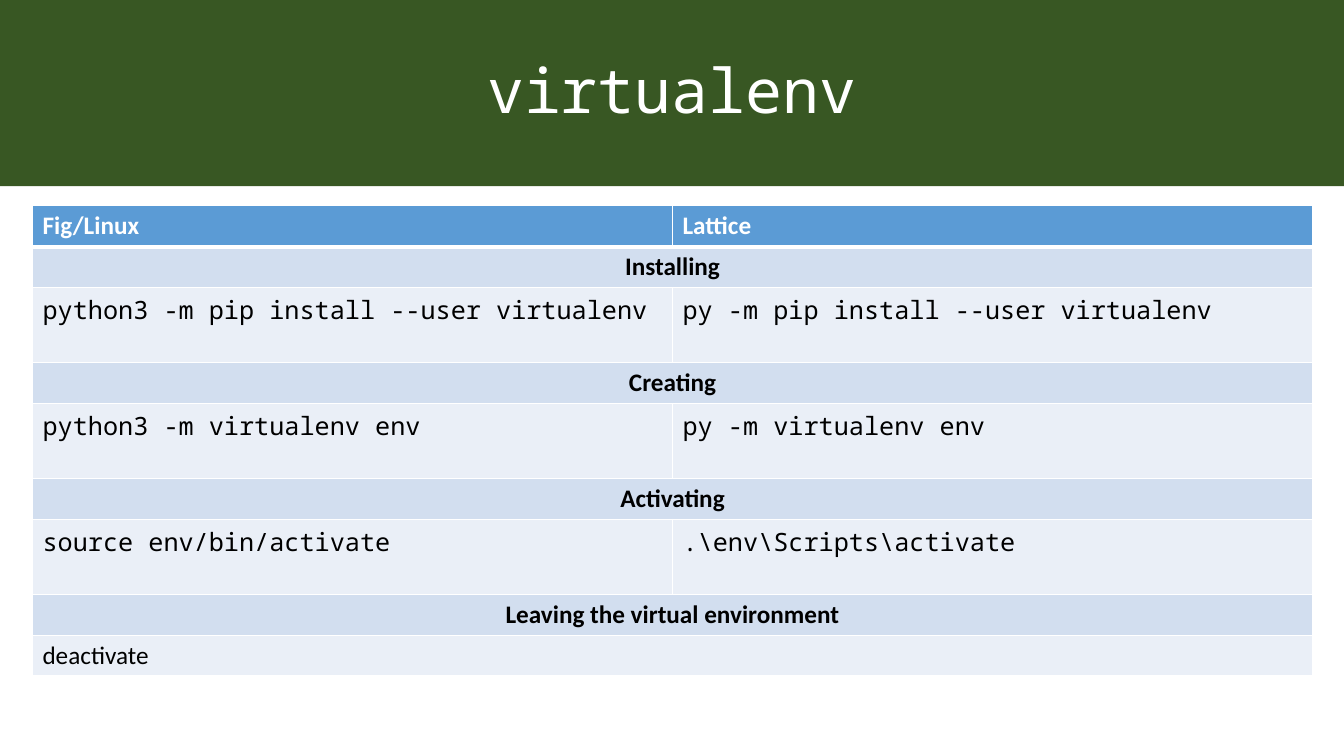
from dataclasses import dataclass

from lxml import etree
from pptx import Presentation
from pptx.dml.color import RGBColor
from pptx.enum.shapes import MSO_SHAPE
from pptx.enum.text import MSO_ANCHOR, PP_ALIGN
from pptx.oxml.ns import qn
from pptx.util import Pt

RECT = MSO_SHAPE.RECTANGLE
MIDDLE = MSO_ANCHOR.MIDDLE
LEFT, CENTER = PP_ALIGN.LEFT, PP_ALIGN.CENTER


@dataclass(frozen=True)
class Theme:
    green: str = "385723"
    blue: str = "5B9BD5"
    band: str = "D2DEEF"
    pale: str = "EAEFF7"
    white: str = "FFFFFF"
    black: str = "000000"
    sans: str = "Calibri"
    mono: str = "Noto Sans Mono"
    title: int = 44
    body: int = 18


THEME = Theme()
WIDE, HIGH = 960, 540
LOW, TALL = 29.2, 53.6

HEAD = dict(fill=THEME.blue, ink=THEME.white, name=THEME.sans, bold=True, align=LEFT)
STEP = dict(fill=THEME.band, ink=THEME.black, name=THEME.sans, bold=True, align=CENTER)
CODE = dict(fill=THEME.pale, ink=THEME.black, name=THEME.mono, bold=False, align=LEFT)
LAST = dict(CODE, name=THEME.sans)

# Each row: look, height, texts; a single text spans both columns
ROWS = [
    (HEAD, LOW, ["Fig/Linux", "Lattice"]),
    (STEP, LOW, ["Installing"]),
    (CODE, TALL, ["python3 -m pip install --user virtualenv",
                  "py -m pip install --user virtualenv"]),
    (STEP, LOW, ["Creating"]),
    (CODE, TALL, ["python3 -m virtualenv env", "py -m virtualenv env"]),
    (STEP, LOW, ["Activating"]),
    (CODE, TALL, ["source env/bin/activate", r".\env\Scripts\activate"]),
    (STEP, LOW, ["Leaving the virtual environment"]),
    (LAST, LOW, ["deactivate"]),
]


def paint(item, color):
    item.fill.solid()
    item.fill.fore_color.rgb = RGBColor.from_string(color)


def write(frame, text, align, ink, **font):
    """Put text in the first paragraph and return that paragraph."""
    para = frame.paragraphs[0]
    para.alignment = align
    run = para.add_run()
    run.text = text
    for key, value in font.items():
        setattr(run.font, key, value)
    run.font.color.rgb = RGBColor.from_string(ink)
    return para


def border(cell, widths):
    """Draw white cell edges; widths maps a side letter to points."""
    props = cell._tc.get_or_add_tcPr()
    for spot, (side, width) in enumerate(widths.items()):
        line = etree.Element(qn(f"a:ln{side}"), w=str(int(Pt(width))))
        fill = etree.SubElement(line, qn("a:solidFill"))
        etree.SubElement(fill, qn("a:srgbClr"), val=THEME.white)
        props.insert(spot, line)


def add_title(slide, text, left, top, width, height):
    bar = slide.shapes.add_shape(RECT, Pt(left), Pt(top), Pt(width), Pt(height))
    bar.shadow.inherit = False
    paint(bar, THEME.green)
    bar.line.fill.background()
    frame = bar.text_frame
    frame.word_wrap = True
    frame.vertical_anchor = MIDDLE
    para = write(frame, text, CENTER, THEME.white,
                 name=THEME.mono, size=Pt(THEME.title))
    para.line_spacing = 0.9


def add_steps(slide, rows, left, top, width):
    height = sum(high for _, high, _ in rows)
    table = slide.shapes.add_table(len(rows), 2, Pt(left), Pt(top),
                                   Pt(width), Pt(height)).table
    table.horz_banding = False
    for col in table.columns:
        col.width = Pt(width / 2)
    for i, (look, high, texts) in enumerate(rows):
        table.rows[i].height = Pt(high)
        edges = dict(L=1, R=1, T=3 if i == 1 else 1, B=3 if i == 0 else 1)
        for j in range(2):
            cell = table.cell(i, j)
            paint(cell, look["fill"])
            border(cell, edges)
        if len(texts) == 1:
            table.cell(i, 0).merge(table.cell(i, 1))
        for j, text in enumerate(texts):
            write(table.cell(i, j).text_frame, text, look["align"], look["ink"],
                  name=look["name"], bold=look["bold"], size=Pt(THEME.body))


def main():
    deck = Presentation()
    deck.slide_width, deck.slide_height = Pt(WIDE), Pt(HIGH)
    slide = deck.slides.add_slide(deck.slide_layouts[6])
    add_title(slide, "virtualenv", 0, 0, WIDE, 133)
    add_steps(slide, ROWS, 23.2, 147, 914.4)
    deck.save("out.pptx")


if __name__ == "__main__":
    main()
